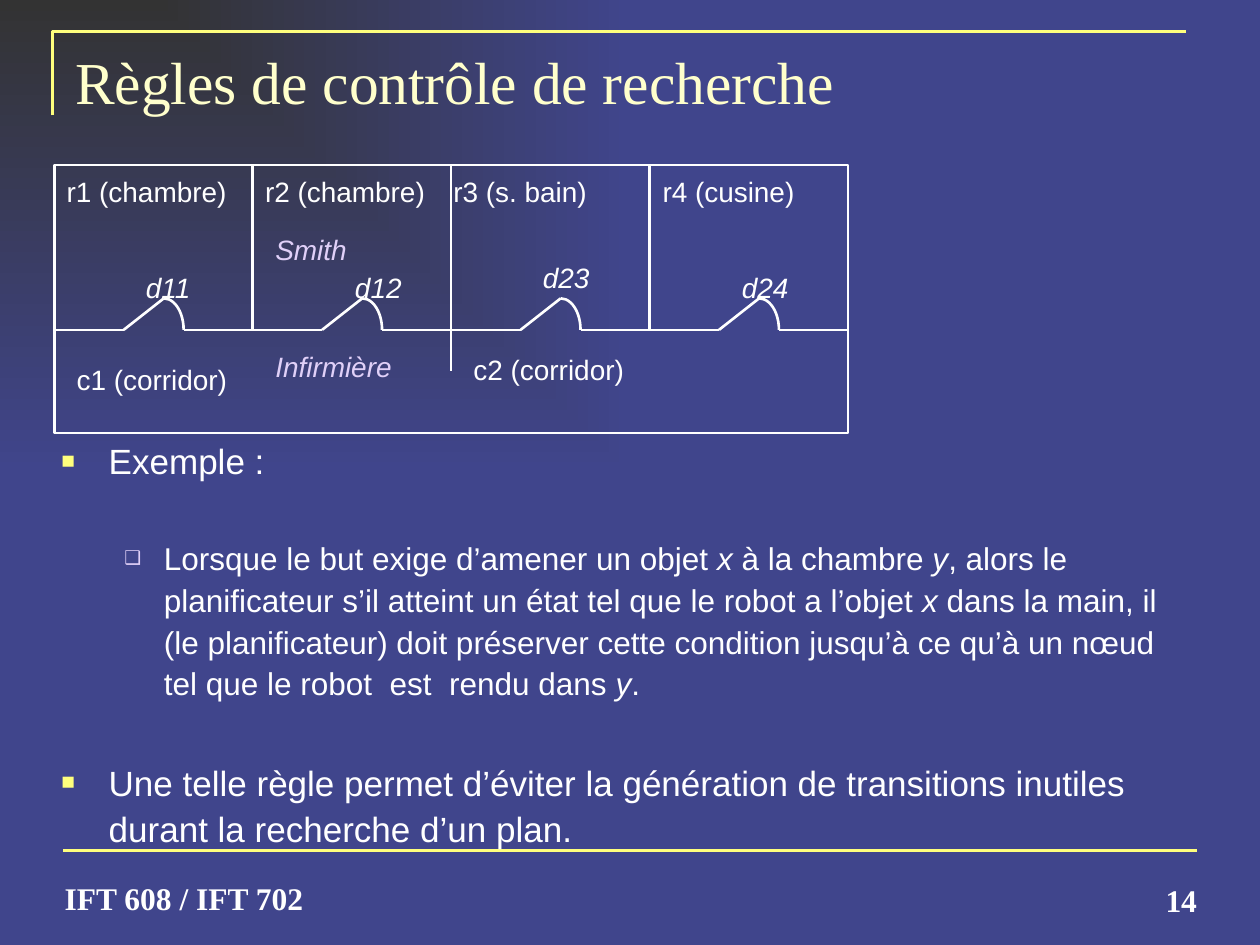
import pptx
import pptx.dml.color
import pptx.enum.shapes
import pptx.enum.text
import pptx.oxml
import pptx.oxml.ns
import pptx.util
from lxml import etree

Pt = pptx.util.Pt
Shape = pptx.enum.shapes.MSO_SHAPE
Align = pptx.enum.text.PP_ALIGN
Anchor = pptx.enum.text.MSO_ANCHOR
qn = pptx.oxml.ns.qn

WHITE, YELLOW, CREAM, LILAC = "FFFFFF", "FFFF7D", "FFFFCC", "E0D0F8"
SANS, SERIF = "Arial", "Times New Roman"


def color(code):
    return pptx.dml.color.RGBColor.from_string(code)


class Deck:
    """Holds the line style and the current slide."""

    def __init__(self, slide, weight=1.5):
        self.slide = slide
        self.shapes = slide.shapes
        self.weight = weight

    def back(self, start, end):
        """Fill the background with a gradient from the top left corner."""
        fill = self.slide.background.fill
        fill.gradient()
        for stop, code, place in zip(fill.gradient_stops, (start, end), (0, 1)):
            stop.color.rgb = color(code)
            stop.position = place
        grad = self.slide.element.find(".//" + qn("a:gradFill"))
        grad.replace(grad.find(qn("a:lin")), pptx.oxml.parse_xml(
            f'<a:path {pptx.oxml.ns.nsdecls("a")} path="rect">'
            '<a:fillToRect r="100000" b="100000"/></a:path>'))

    def stroke(self, item, code):
        item.line.color.rgb = color(code)
        item.line.width = Pt(self.weight)

    def outline(self, shape, code):
        shape.shadow.inherit = False
        shape.fill.background()
        self.stroke(shape, code)
        return shape

    def preset(self, kind, x, y, wide, high, code=WHITE):
        return self.outline(self.shapes.add_shape(kind, Pt(x), Pt(y), Pt(wide), Pt(high)), code)

    def bend(self, points, code):
        """Draw an open line through the points."""
        (x, y), *rest = [(Pt(a), Pt(b)) for a, b in points]
        form = self.shapes.build_freeform(x, y)
        form.add_line_segments(rest, close=False)
        self.outline(form.convert_to_shape(), code)

    def line(self, x1, y1, x2, y2, code=WHITE):
        link = self.shapes.add_connector(
            pptx.enum.shapes.MSO_CONNECTOR.STRAIGHT, Pt(x1), Pt(y1), Pt(x2), Pt(y2))
        self.stroke(link, code)
        etree.SubElement(link.element.spPr, qn("a:effectLst"))
        return link

    def frame(self, x, y, wide, high, wrap=True, inset=True, anchor=Anchor.TOP):
        frame = self.shapes.add_textbox(Pt(x), Pt(y), Pt(wide), Pt(high)).text_frame
        frame.word_wrap = wrap
        frame.vertical_anchor = anchor
        if not inset:
            frame.margin_left = frame.margin_right = Pt(0)
            frame.margin_top = frame.margin_bottom = Pt(0)
        return frame

    def font(self, para, size, code=WHITE, face=SANS, bold=None, italic=None):
        font = para.font
        font.size, font.name = Pt(size), face
        font.bold, font.italic = bold, italic
        font.color.rgb = color(code)

    def text(self, words, x, y, wide, high, size, code=WHITE, face=SANS,
             bold=None, italic=None, align=Align.LEFT, **box):
        para = self.frame(x, y, wide, high, **box).paragraphs[0]
        para.text = words
        para.alignment = align
        self.font(para, size, code, face, bold, italic)

    def label(self, words, x, y, wide, code=WHITE, italic=None):
        self.text(words, x, y, wide, 26.6, 16, code, italic=italic, wrap=False)

    def point(self, para, runs, size, mark, code, scale, left, hang, space=0, pitch=None):
        """Fill a bulleted paragraph; every second run is in italics."""
        props = para._p.get_or_add_pPr()
        props.set("marL", str(Pt(left)))
        props.set("indent", str(-Pt(hang)))
        tint = etree.SubElement(props, qn("a:buClr"))
        etree.SubElement(tint, qn("a:srgbClr"), val=code)
        etree.SubElement(props, qn("a:buSzPct"), val=str(scale * 1000))
        etree.SubElement(props, qn("a:buFont"), typeface=SANS)
        etree.SubElement(props, qn("a:buChar"), char=mark)
        para.space_before = Pt(space)
        if pitch:
            para.line_spacing = pitch
        self.font(para, size)
        for order, words in enumerate(runs):
            run = para.add_run()
            run.text = words
            if order % 2:
                run.font.italic = True


def trim(deck):
    """Draw the title bracket, the title and the footer."""
    deck.bend([(30, 66), (30, 18), (678, 18)], YELLOW)
    deck.text("14", 632, 502, 52, 23, 18, face=SERIF, bold=True,
              align=Align.RIGHT, inset=False, anchor=Anchor.BOTTOM)
    deck.line(36, 486, 684, 486, YELLOW)
    deck.text("IFT 608 / IFT 702", 37, 502.5, 148, 22, 18, face=SERIF, bold=True, inset=False)
    deck.text("Règles de contrôle de recherche", 36, 22, 648, 90, 34, CREAM, SERIF)


def body(deck):
    frame = deck.frame(28, 247.5, 647, 215)
    main = dict(size=20, mark="■", code=YELLOW, scale=65, left=27, hang=27)
    deck.point(frame.paragraphs[0], ["Exemple :"], **main)
    deck.point(frame.add_paragraph(), [
        "Lorsque le but exige d’amener un objet ", "x", " à la chambre", " y",
        ", alors le planificateur s’il atteint un état tel que le robot a l’objet ", "x",
        " dans la main, il (le planificateur) doit préserver cette condition jusqu’à ce "
        "qu’à un nœud tel que le robot  est  rendu dans ", "y", "."],
        size=18, mark="❑", code=LILAC, scale=60, left=58.5, hang=22.5, space=31, pitch=1.1)
    deck.point(frame.add_paragraph(), [
        "Une telle règle permet d’éviter la génération de transitions inutiles "
        "durant la recherche d’un plan."], space=31.4, pitch=1.1, **main)


def plan(deck):
    """Draw the floor plan: four rooms with doors above two corridors."""
    left, top, room, wall, high = 31, 94.3, 113.4, 188.5, 153.2
    gap, hinge, shut, rise = 39.7, 62.6, 74, 18
    house = deck.preset(Shape.RECTANGLE, left, top, 4 * room, high)
    for order in range(4):
        x = left + order * room
        deck.line(x, wall, x + gap, wall)
        deck.line(x + shut, wall, x + room, wall)
        deck.line(x + gap, wall, x + hinge, wall - rise)
        swing = shut - hinge
        deck.preset(Shape.ARC, x + hinge - swing, wall - rise, 2 * swing, 2 * rise)
        if order:
            side = deck.line(x, top, x, 212 if order == 2 else wall)
            if order == 2:
                side.begin_connect(house, 0)

    for words, x, y, wide in [
            ("r1 (chambre)", 31, 96.5, 106.6), ("r2 (chambre)", 144.4, 96.5, 106.6),
            ("r3 (s. bain)", 252, 96.5, 91.4), ("r4 (cusine)", 371.5, 96.5, 90),
            ("c1 (corridor)", 36.7, 203.6, 100.8), ("c2 (corridor)", 263.5, 198, 100.8)]:
        deck.label(words, x, y, wide)
    for words, y, wide in [("Smith", 129.6, 55.4), ("Infirmière", 196.2, 81.4)]:
        deck.label(words, 150.3, y, wide, LILAC, True)
    for words, x, y in [("d11", 76.3, 151.2), ("d12", 195.8, 151.2),
                        ("d23", 303.1, 145.5), ("d24", 416.9, 151.2)]:
        deck.label(words, x, y, 41, italic=True)


def main():
    show = pptx.Presentation()
    show.slide_width, show.slide_height = Pt(720), Pt(540)
    deck = Deck(show.slides.add_slide(show.slide_layouts[6]))
    deck.back("333333", "40458C")
    trim(deck)
    body(deck)
    plan(deck)
    show.save("out.pptx")


if __name__ == "__main__":
    main()
